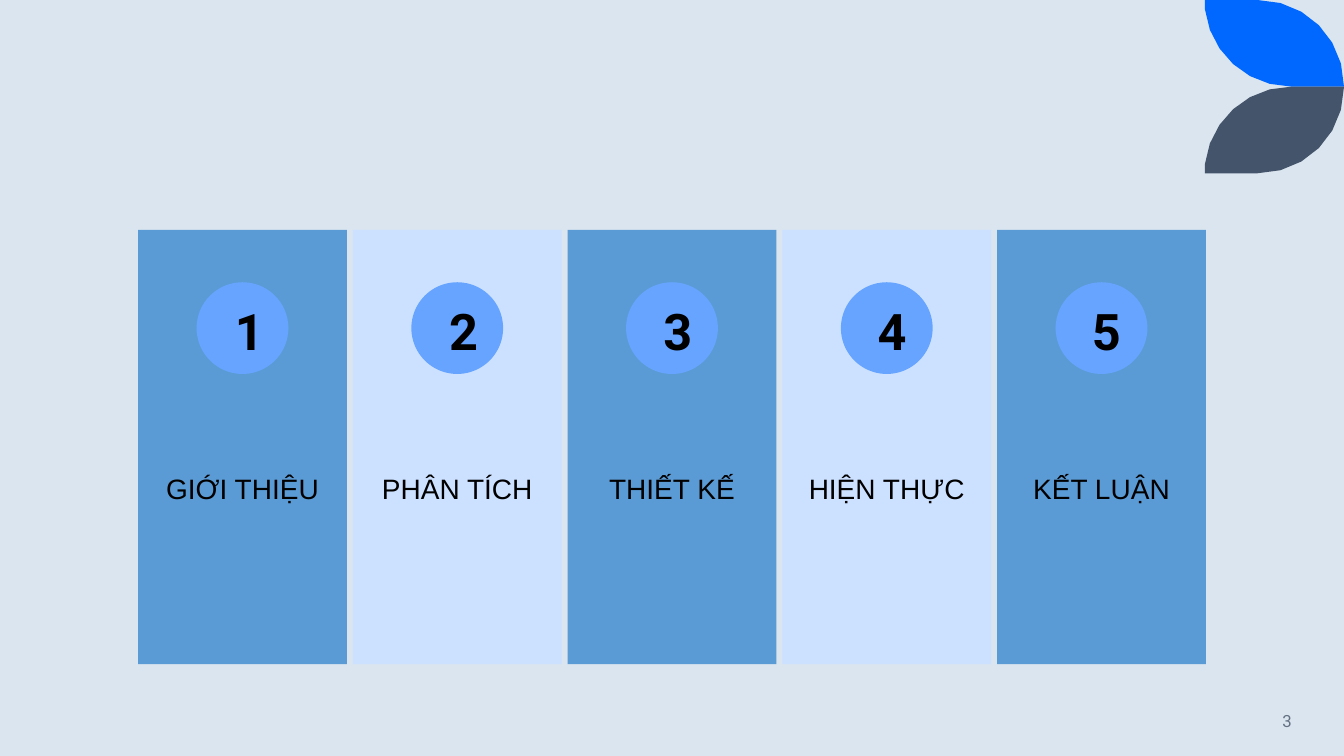
from dataclasses import dataclass

import pptx
import pptx.dml.color
import pptx.enum.shapes
import pptx.enum.text
import pptx.util

RGBColor = pptx.dml.color.RGBColor
Shape = pptx.enum.shapes.MSO_SHAPE
Align = pptx.enum.text.PP_ALIGN
Anchor = pptx.enum.text.MSO_ANCHOR
Inches = pptx.util.Inches

BACKGROUND = RGBColor(0xDA, 0xE5, 0xEF)
BRIGHT_BLUE = RGBColor(0x00, 0x68, 0xFF)
SLATE = RGBColor(0x44, 0x54, 0x6A)
MID_BLUE = RGBColor(0x5B, 0x9B, 0xD5)
PALE_BLUE = RGBColor(0xCC, 0xE1, 0xFF)
CIRCLE_BLUE = RGBColor(0x66, 0xA4, 0xFF)
BLACK = RGBColor(0x00, 0x00, 0x00)
GREY = RGBColor(0x63, 0x71, 0x83)

# Column grid, in inches
GRID_LEFT, GRID_TOP = 1.37, 2.28
PITCH, PANEL_WIDTH, PANEL_HEIGHT = 2.13, 2.07, 4.31
NUMBER_LEFT, NUMBER_SPAN = 2.23, 8.5
LEAF_LEFT, LEAF_HEIGHT = 11.95, 0.86
CURVE_STEPS = 6

Point = tuple[float, float]


@dataclass
class Area:
    left: float
    top: float
    width: float
    height: float

    def lengths(self) -> list[int]:
        return [Inches(v) for v in (self.left, self.top, self.width, self.height)]


@dataclass
class Chapter:
    title: str
    color: RGBColor


CHAPTERS = [
    Chapter("GIỚI THIỆU", MID_BLUE),
    Chapter("PHÂN TÍCH", PALE_BLUE),
    Chapter("THIẾT KẾ", MID_BLUE),
    Chapter("HIỆN THỰC", PALE_BLUE),
    Chapter("KẾT LUẬN", MID_BLUE),
]


def paint(shape, color: RGBColor) -> None:
    shape.shadow.inherit = False
    shape.fill.solid()
    shape.fill.fore_color.rgb = color
    shape.line.fill.background()


def add_filled(page, kind, area: Area, color: RGBColor) -> None:
    paint(page.shapes.add_shape(kind, *area.lengths()), color)


def add_text(page, area: Area, text: str, *, size: float, font: str = "Roboto",
             color: RGBColor = BLACK, bold: bool = False, align=Align.CENTER,
             anchor=Anchor.MIDDLE, inset: float | None = None,
             line_spacing: float = 1.0) -> None:
    box = page.shapes.add_textbox(*area.lengths())
    frame = box.text_frame
    frame.word_wrap = True
    frame.vertical_anchor = anchor
    if inset is not None:
        frame.margin_left = frame.margin_right = Inches(inset)
        frame.margin_top = frame.margin_bottom = Inches(inset)
    para = frame.paragraphs[0]
    para.alignment = align
    para.line_spacing = line_spacing
    span = para.add_run()
    span.text = text
    span.font.name = font
    span.font.size = pptx.util.Pt(size)
    span.font.bold = bold
    span.font.color.rgb = color


def curve(start: Point, first: Point, second: Point, end: Point) -> list[Point]:
    """Points along a cubic Bézier curve, from start to end."""
    points = []
    for step in range(CURVE_STEPS + 1):
        t = step / CURVE_STEPS
        weights = ((1 - t) ** 3, 3 * t * (1 - t) ** 2, 3 * t * t * (1 - t), t ** 3)
        corners = (start, first, second, end)
        points.append((sum(w * c[0] for w, c in zip(weights, corners)),
                       sum(w * c[1] for w, c in zip(weights, corners))))
    return points


def add_leaf(page, color: RGBColor, flipped: bool) -> None:
    outline = [(0.0, 0.0)]
    outline += curve((0.52, 0), (1.0, 0), (1.38, 0.38), (1.38, 0.86))
    outline += curve((0.86, 0.86), (0.41, 0.86), (0.05, 0.52), (0, 0.09))
    points = [(Inches(LEAF_LEFT + x), Inches(2 * LEAF_HEIGHT - y if flipped else y))
              for x, y in outline]
    builder = page.shapes.build_freeform(*points[0])
    builder.add_line_segments(points[1:], close=True)
    paint(builder.convert_to_shape(), color)


def add_chapter(page, index: int, chapter: Chapter) -> None:
    left = GRID_LEFT + index * PITCH
    number_left = NUMBER_LEFT + index * NUMBER_SPAN / (len(CHAPTERS) - 1)
    add_filled(page, Shape.RECTANGLE,
               Area(left, GRID_TOP, PANEL_WIDTH, PANEL_HEIGHT), chapter.color)
    add_text(page, Area(left, 4.01, PANEL_WIDTH, 1.72), chapter.title,
             size=20, font="Arial", inset=0.16, line_spacing=0.9)
    add_filled(page, Shape.OVAL, Area(left + 0.58, 2.8, 0.91, 0.91), CIRCLE_BLUE)
    add_text(page, Area(number_left, 2.93, 0.38, 0.71), str(index + 1),
             size=36, bold=True, anchor=Anchor.TOP)


def main() -> None:
    deck = pptx.Presentation()
    deck.slide_width, deck.slide_height = Inches(13.33), Inches(7.5)
    page = deck.slides.add_slide(deck.slide_layouts[6])
    page.background.fill.solid()
    page.background.fill.fore_color.rgb = BACKGROUND

    # Corner leaves
    add_leaf(page, BRIGHT_BLUE, flipped=False)
    add_leaf(page, SLATE, flipped=True)

    # Chapter panels
    for index, chapter in enumerate(CHAPTERS):
        add_chapter(page, index, chapter)

    # Slide number
    add_text(page, Area(11.1, 6.95, 1.81, 0.4), "3", size=12, color=GREY,
             align=Align.RIGHT)

    deck.save("out.pptx")


if __name__ == "__main__":
    main()
